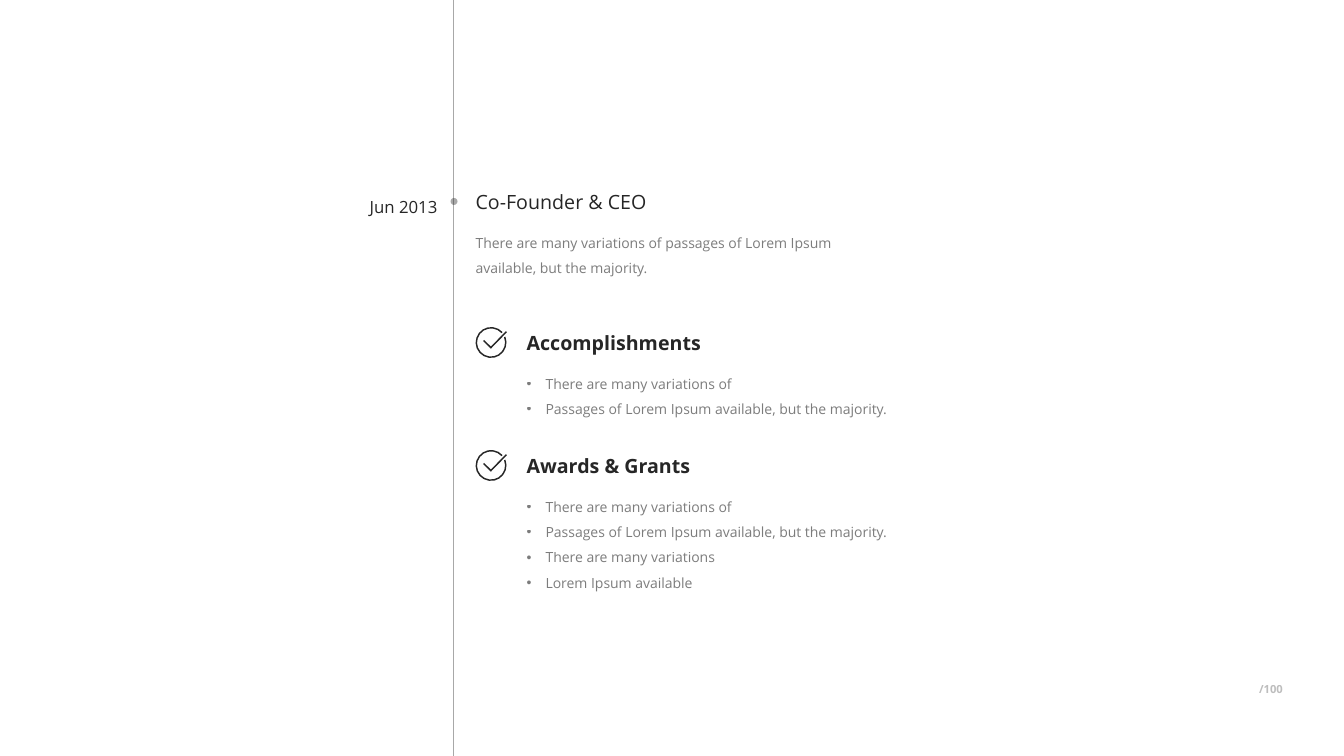
import math
from dataclasses import dataclass

import pptx
import pptx.dml.color
import pptx.enum.shapes
import pptx.enum.text
import pptx.oxml
import pptx.oxml.ns
import pptx.util
from lxml import etree

PX = 914400 / 100.8
WIDTH, HEIGHT = 1344, 756
AXIS = WIDTH * 27 / 80
ALIGN = pptx.enum.text.PP_ALIGN
ANCHOR = pptx.enum.text.MSO_ANCHOR
qn = pptx.oxml.ns.qn


@dataclass(frozen=True)
class Theme:
    font: str = "Open Sans"
    ink: str = "262626"
    heading: int = 14
    date: int = 12
    body: int = 10
    footer: int = 8
    body_alpha: int = 60
    line_alpha: int = 40
    footer_alpha: int = 30


THEME = Theme()
INK = pptx.dml.color.RGBColor.from_string(THEME.ink)

SECTIONS = [
    ("Accomplishments", [
        "There are many variations of",
        "Passages of Lorem Ipsum available, but the majority.",
    ]),
    ("Awards & Grants", [
        "There are many variations of",
        "Passages of Lorem Ipsum available, but the majority.",
        "There are many variations",
        "Lorem Ipsum available",
    ]),
]


def px(n):
    return pptx.util.Emu(round(n * PX))


def fade(element, percent):
    """Make every plain colour inside element partly transparent."""
    for clr in element.iter(qn("a:srgbClr")):
        etree.SubElement(clr, qn("a:alpha")).set("val", str(percent * 1000))


def add_bullet(p):
    pPr = p._p.get_or_add_pPr()
    pPr.set("marL", str(px(19)))
    pPr.set("indent", str(-px(19)))
    etree.SubElement(pPr, qn("a:buFont")).set("typeface", "Arial")
    etree.SubElement(pPr, qn("a:buChar")).set("char", "•")


def write(s, box, lines, size, spacing=1.0, bold=False, alpha=100,
          align=ALIGN.LEFT, anchor=ANCHOR.TOP, right=0, bullets=False):
    """Place a text shape in box and fill it with formatted lines."""
    s.left, s.top, s.width, s.height = map(px, box)
    tf = s.text_frame
    tf.margin_left = tf.margin_top = tf.margin_bottom = 0
    tf.margin_right = px(right)
    tf.word_wrap = True
    tf.auto_size = pptx.enum.text.MSO_AUTO_SIZE.NONE
    tf.vertical_anchor = anchor
    tf.text = "\n".join(lines)
    for p in tf.paragraphs:
        p.alignment = align
        p.line_spacing = spacing
        p.space_before = pptx.util.Pt(0)
        if bullets:
            add_bullet(p)
        for r in p.runs:
            r.font.name = THEME.font
            r.font.size = pptx.util.Pt(size)
            r.font.bold = bold
            r.font.color.rgb = INK
    if alpha < 100:
        fade(s.element, alpha)


def add_text(slide, box, lines, size, **style):
    write(slide.shapes.add_textbox(0, 0, 0, 0), box, lines, size, **style)


def paint(s):
    s.shadow.inherit = False
    s.fill.solid()
    s.fill.fore_color.rgb = INK
    s.line.fill.background()


def add_timeline(slide, x, height):
    line = slide.shapes.add_connector(
        pptx.enum.shapes.MSO_CONNECTOR.STRAIGHT, px(x), 0, px(x), px(height))
    line.line.color.rgb = INK
    line.line.width = pptx.util.Pt(0.5)
    etree.SubElement(line.element.spPr, qn("a:effectLst"))
    fade(line.element.spPr, THEME.line_alpha)

    dot = slide.shapes.add_shape(
        pptx.enum.shapes.MSO_SHAPE.OVAL, px(x - 3), px(198), px(7), px(7))
    paint(dot)
    fade(dot.element.spPr, THEME.line_alpha)
    add_text(slide, (x - 156, 177, 140, 35), ["Jun 2013"], THEME.date,
             spacing=2.0, align=ALIGN.RIGHT)


def arc(radius, degrees):
    return [(155 + radius * math.cos(math.radians(a)),
             155 + radius * math.sin(math.radians(a))) for a in degrees]


def add_check_icon(slide, x, y):
    """Draw an open ring with a tick, in tenths of a pixel."""
    sweep = range(-22, 319, 20)
    ring = arc(155, sweep) + arc(140, reversed(sweep))
    tick = [(76, 140), (86, 130), (153, 196), (303, 42), (314, 52), (153, 217)]
    builder = slide.shapes.build_freeform(*ring[0], scale=PX / 10)
    builder.add_line_segments(ring[1:], close=True)
    builder.move_to(*tick[0])
    builder.add_line_segments(tick[1:], close=True)
    paint(builder.convert_to_shape(px(x), px(y)))


def add_intro(slide, x, y):
    write(slide.shapes.title, (x, y, 406, 26), ["Co-Founder & CEO"],
          THEME.heading, spacing=1.2)
    add_text(slide, (x, y + 41, 406, 48),
             ["There are many variations of passages of Lorem Ipsum "
              "available, but the majority."],
             THEME.body, spacing=1.5, alpha=THEME.body_alpha, right=10)


def add_section(slide, x, y, heading, items):
    add_check_icon(slide, x, y + 1)
    add_text(slide, (x + 51, y, 406, 26), [heading], THEME.heading,
             spacing=1.2, bold=True)
    add_text(slide, (x + 51, y + 41, 406, 25 * len(items)), items, THEME.body,
             spacing=1.5, alpha=THEME.body_alpha, right=10, bullets=True)


def add_footer(slide, box):
    add_text(slide, box, ["/100"], THEME.footer, bold=True,
             alpha=THEME.footer_alpha, align=ALIGN.RIGHT, anchor=ANCHOR.MIDDLE)


def main():
    prs = pptx.Presentation()
    prs.slide_width, prs.slide_height = px(WIDTH), px(HEIGHT)
    slide = prs.slides.add_slide(prs.slide_layouts.get_by_name("Title Only"))
    add_footer(slide, (1227, 677, 56, 25))
    add_timeline(slide, AXIS, HEIGHT)
    add_intro(slide, AXIS + 22, 185)
    for i, (heading, items) in enumerate(SECTIONS):
        add_section(slide, AXIS + 22, 326 + 123 * i, heading, items)
    prs.save("out.pptx")


if __name__ == "__main__":
    main()
